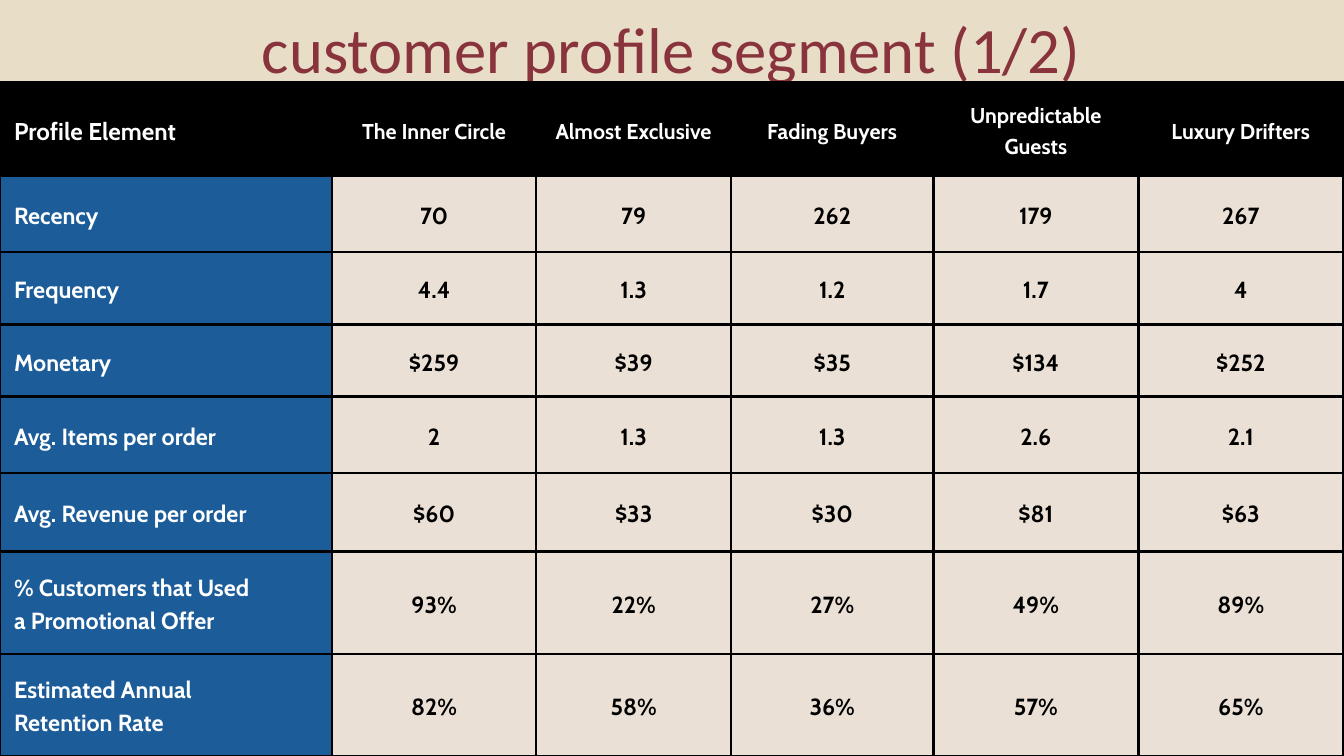
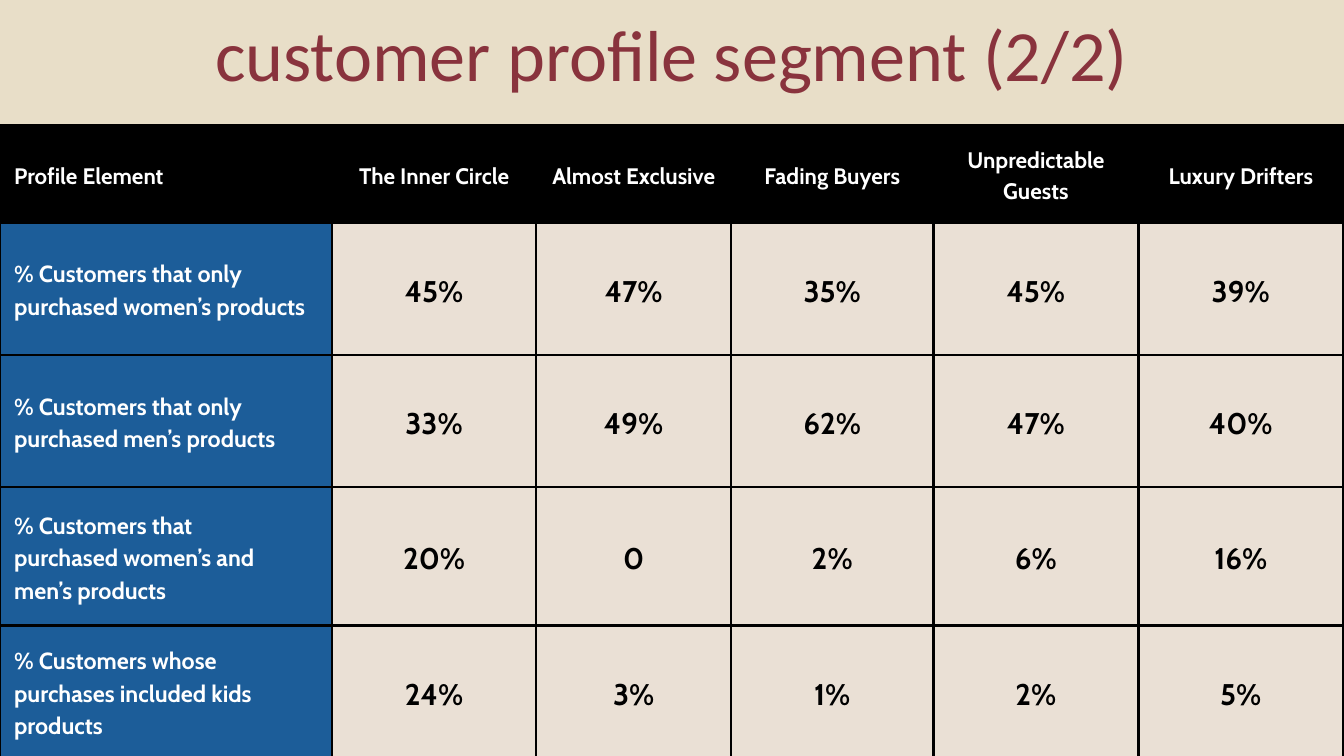
from lxml import etree
from pptx import Presentation
from pptx import util as u
from pptx.dml.color import RGBColor
from pptx.enum import shapes, text
from pptx.oxml.ns import qn

WIDTH, HEIGHT = 20, 11.25
PAPER, BAND, MAROON = "F4F0EC", "E8DEC8", "89333D"
BLACK, WHITE, BLUE, SAND = "000000", "FFFFFF", "1C5D99", "EAE0D5"
TITLE_FONT, TABLE_FONT = "Calibri", "Cabin"
BAND_HEIGHT = 2.28
TITLE_LEFT, TITLE_WIDTH = 1.12, 17.75
CELL_MARGIN = 0.21
BORDER_POINTS = 3
TITLE_LEADING, TABLE_LEADING = 1.06, 1.4
COLUMNS = [4.94, 3.04, 2.9, 3.01, 3.05, 3.05]
LEFT, CENTER = text.PP_ALIGN.LEFT, text.PP_ALIGN.CENTER

HEADINGS = ["Profile Element", "The Inner Circle", "Almost Exclusive",
            "Fading Buyers", "Unpredictable Guests", "Luxury Drifters"]

PAGES = [
    dict(title="customer profile segment (1/2)", title_size=69.3,
         title_top=0.27, title_height=1.05, table_top=1.23,
         corner_size=26, heading_size=23, label_size=25, value_size=25,
         heights=[1.39, 1.13, 1.08, 1.07, 1.14, 1.17, 1.52, 1.52],
         rows=[
             ["Recency", "70", "79", "262", "179", "267"],
             ["Frequency", "4.4", "1.3", "1.2", "1.7", "4"],
             ["Monetary", "$259", "$39", "$35", "$134", "$252"],
             ["Avg. Items per order", "2", "1.3", "1.3", "2.6", "2.1"],
             ["Avg. Revenue per order", "$60", "$33", "$30", "$81", "$63"],
             ["% Customers that Used\na Promotional Offer",
              "93%", "22%", "27%", "49%", "89%"],
             ["Estimated Annual\nRetention Rate",
              "82%", "58%", "36%", "57%", "65%"],
         ]),
    dict(title="customer profile segment (2/2)", title_size=77.3,
         title_top=0.29, title_height=1.17, table_top=1.87,
         corner_size=24, heading_size=24, label_size=25, value_size=32,
         heights=[1.44, 1.97, 1.97, 2.06, 1.97],
         rows=[
             ["% Customers that only\npurchased women’s products",
              "45%", "47%", "35%", "45%", "39%"],
             ["% Customers that only\npurchased men’s products",
              "33%", "49%", "62%", "47%", "40%"],
             ["% Customers that\npurchased women’s and\nmen’s products",
              "20%", "0", "2%", "6%", "16%"],
             ["% Customers whose\npurchases included kids\nproducts",
              "24%", "3%", "1%", "2%", "5%"],
         ]),
]


def paint(fill, color):
    fill.solid()
    fill.fore_color.rgb = RGBColor.from_string(color)


def write(frame, words, size, color, font, align, leading, bold=False):
    """Fill a text frame with one paragraph for each line of words."""
    for index, line in enumerate(words.split("\n")):
        para = frame.add_paragraph() if index else frame.paragraphs[0]
        para.alignment = align
        para.line_spacing = u.Pt(round(size * leading, 1))
        para.space_before = para.space_after = u.Pt(0)
        span = para.add_run()
        span.text = line
        span.font.size = u.Pt(size)
        span.font.name = font
        span.font.bold = bold
        span.font.color.rgb = RGBColor.from_string(color)


def add_border(cell):
    properties = cell._tc.get_or_add_tcPr()
    for side in ("a:lnL", "a:lnR", "a:lnT", "a:lnB"):
        line = etree.SubElement(properties, qn(side), w=str(u.Pt(BORDER_POINTS)))
        fill = etree.SubElement(line, qn("a:solidFill"))
        etree.SubElement(fill, qn("a:srgbClr"), val=BLACK)


def add_band(page):
    """Draw the title band behind everything else on the page."""
    band = page.shapes.add_shape(shapes.MSO_SHAPE.RECTANGLE, 0, 0,
                                 u.Inches(WIDTH), u.Inches(BAND_HEIGHT))
    band.shadow.inherit = False
    band.line.fill.background()
    paint(band.fill, BAND)
    band.element.getparent().insert(2, band.element)


def set_title(page, words, size, top, height):
    title = page.shapes.title
    title.left, title.top = u.Inches(TITLE_LEFT), u.Inches(top)
    title.width, title.height = u.Inches(TITLE_WIDTH), u.Inches(height)
    frame = title.text_frame
    frame.margin_left = frame.margin_right = 0
    frame.margin_top = frame.margin_bottom = 0
    frame.vertical_anchor = text.MSO_ANCHOR.TOP
    frame.word_wrap = True
    frame.auto_size = text.MSO_AUTO_SIZE.SHAPE_TO_FIT_TEXT
    write(frame, words, size, MAROON, TITLE_FONT, CENTER, TITLE_LEADING)


def cell_style(row, column, content):
    """Return the fill, text colour and text size for a place in the table."""
    if row == 0:
        return BLACK, WHITE, content["heading_size" if column else "corner_size"]
    if column == 0:
        return BLUE, WHITE, content["label_size"]
    return SAND, BLACK, content["value_size"]


def add_profile_table(page, content):
    heights = content["heights"]
    table = page.shapes.add_table(
        len(heights), len(COLUMNS), 0, u.Inches(content["table_top"]),
        u.Inches(WIDTH), u.Inches(sum(heights))).table
    table.first_row = table.horz_banding = False
    for column, width in zip(table.columns, COLUMNS):
        column.width = u.Inches(width)
    for row, height in zip(table.rows, heights):
        row.height = u.Inches(height)
    for row, entries in enumerate([HEADINGS] + content["rows"]):
        for column, words in enumerate(entries):
            cell = table.cell(row, column)
            fill, color, size = cell_style(row, column, content)
            add_border(cell)
            paint(cell.fill, fill)
            cell.margin_left = cell.margin_right = u.Inches(CELL_MARGIN)
            cell.margin_top = cell.margin_bottom = u.Inches(CELL_MARGIN)
            cell.vertical_anchor = text.MSO_ANCHOR.MIDDLE
            write(cell.text_frame, words, size, color, TABLE_FONT,
                  CENTER if column else LEFT, TABLE_LEADING, bold=True)


def add_profile_page(deck, content):
    page = deck.slides.add_slide(deck.slide_layouts.get_by_name("Title Only"))
    paint(page.background.fill, PAPER)
    add_band(page)
    set_title(page, content["title"], content["title_size"],
              content["title_top"], content["title_height"])
    add_profile_table(page, content)


def main():
    deck = Presentation()
    deck.slide_width, deck.slide_height = u.Inches(WIDTH), u.Inches(HEIGHT)
    for content in PAGES:
        add_profile_page(deck, content)
    deck.save("out.pptx")


if __name__ == "__main__":
    main()
